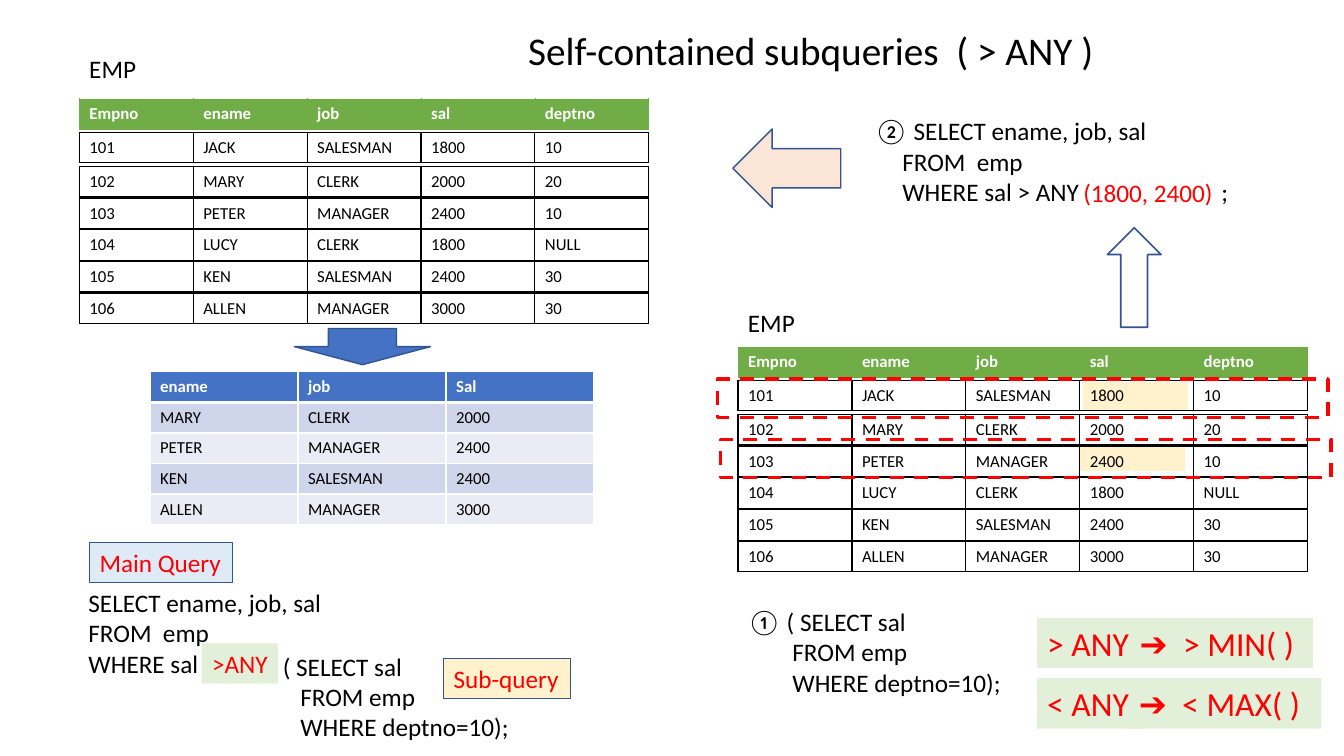
from dataclasses import dataclass

from lxml import etree
from pptx import Presentation
from pptx import util as u
from pptx.dml.color import RGBColor
from pptx.enum import dml, shapes, text
from pptx.oxml.ns import qn


@dataclass(frozen=True)
class Theme:
    font: str = "Calibri"
    title: int = 28
    rule: int = 24
    body: int = 18
    cell: int = 12
    black: str = "000000"
    white: str = "FFFFFF"
    red: str = "FF0000"
    green: str = "70AD47"
    blue: str = "4472C4"
    outline: str = "325491"
    pale_green: str = "E2F0D9"
    pale_yellow: str = "FFF2CC"
    pale_blue: str = "DEEBF7"
    peach: str = "FBE5D6"
    bands: tuple = ("CFD5EA", "E9EBF5")


THEME = Theme()
SHAPE = shapes.MSO_SHAPE

# Lengths in cm
ROW_HEIGHT = 0.77
EMP_COLUMN = 2.87
RESULT_COLUMN = 3.73

EMP_HEADER = ["Empno", "ename", "job", "sal", "deptno"]
EMP_ROWS = [
    ["101", "JACK", "SALESMAN", "1800", "10"],
    ["102", "MARY", "CLERK", "2000", "20"],
    ["103", "PETER", "MANAGER", "2400", "10"],
    ["104", "LUCY", "CLERK", "1800", "NULL"],
    ["105", "KEN", "SALESMAN", "2400", "30"],
    ["106", "ALLEN", "MANAGER", "3000", "30"],
]
RESULT_ROWS = [
    ["ename", "job", "Sal"],
    ["MARY", "CLERK", "2000"],
    ["PETER", "MANAGER", "2400"],
    ["KEN", "SALESMAN", "2400"],
    ["ALLEN", "MANAGER", "3000"],
]


class SlideBuilder:
    def __init__(self, slide, theme):
        self.slide = slide
        self.theme = theme

    def set_text(self, frame, lines, size, color, bold=False, tabs=(), align=None):
        frame.word_wrap = True
        for index, line in enumerate(lines):
            paragraph = frame.add_paragraph() if index else frame.paragraphs[0]
            paragraph.alignment = align or text.PP_ALIGN.LEFT
            run = paragraph.add_run()
            run.text = line
            run.font.color.rgb = RGBColor.from_string(color)
            font_format = {"name": self.theme.font, "size": u.Pt(size), "bold": bold}
            for attribute, value in font_format.items():
                setattr(run.font, attribute, value)
            if tabs:
                tab_list = etree.SubElement(paragraph._p.get_or_add_pPr(), qn("a:tabLst"))
                for stop in tabs:
                    etree.SubElement(tab_list, qn("a:tab"), pos=str(u.Cm(stop)), algn="l")

    def label(self, box, *lines, size=None, color=None, tabs=()):
        frame = self.slide.shapes.add_textbox(*map(u.Cm, box)).text_frame
        self.set_text(frame, lines, size or self.theme.body, color or self.theme.black, tabs=tabs)

    def block(self, kind, box, fill=None, line=None, weight=1, dash=None,
              caption=None, size=None, align=None):
        block = self.slide.shapes.add_shape(kind, *map(u.Cm, box))
        block.shadow.inherit = False
        for part, color in ((block.fill, fill), (block.line.fill, line)):
            if color:
                part.solid()
                part.fore_color.rgb = RGBColor.from_string(color)
            else:
                part.background()
        if line:
            for attribute, value in {"width": u.Pt(weight), "dash_style": dash}.items():
                setattr(block.line, attribute, value)
        if caption:
            self.set_text(block.text_frame, [caption], size or self.theme.body,
                          self.theme.red, align=align)

    def border(self, cell, color, weight, bottom=None):
        properties = cell._tc.get_or_add_tcPr()
        for index, side in enumerate(("lnL", "lnR", "lnT", "lnB")):
            width = bottom if bottom and side == "lnB" else weight
            edge = etree.Element(qn(f"a:{side}"), w=str(u.Pt(width)))
            solid = etree.SubElement(edge, qn("a:solidFill"))
            etree.SubElement(solid, qn("a:srgbClr"), val=color)
            properties.insert(index, edge)

    def table(self, left, top, rows, column, edge, weight=1, header=None, bands=()):
        """A header color makes the first row a header; bands tint the others."""
        columns = len(rows[0])
        frame = self.slide.shapes.add_table(
            len(rows), columns, u.Cm(left), u.Cm(top),
            u.Cm(column * columns), u.Cm(ROW_HEIGHT * len(rows)))
        grid = frame.table
        for attribute in ("first_row", "horz_banding"):
            setattr(grid, attribute, False)
        for grid_column in grid.columns:
            grid_column.width = u.Cm(column)
        for r, values in enumerate(rows):
            grid.rows[r].height = u.Cm(ROW_HEIGHT)
            is_header = bool(header) and r == 0
            fill = header if is_header else bands[(r - 1) % len(bands)] if bands else None
            for c, value in enumerate(values):
                cell = grid.cell(r, c)
                if fill:
                    cell.fill.solid()
                    cell.fill.fore_color.rgb = RGBColor.from_string(fill)
                else:
                    cell.fill.background()
                self.border(cell, edge, weight, 3 if is_header and bands else None)
                color = self.theme.white if is_header else self.theme.black
                self.set_text(cell.text_frame, [value], self.theme.cell, color, is_header)

    def emp_table(self, left, top):
        """Header strip, then one separate strip for each employee."""
        self.table(left, top, [EMP_HEADER], EMP_COLUMN, self.theme.green, 0.5,
                   header=self.theme.green)
        for index, employee in enumerate(EMP_ROWS):
            offset = 0.9 + 0.8 * index if index else 0.84
            self.table(left, top + offset, [employee], EMP_COLUMN, self.theme.black)


def main():
    deck = Presentation()
    deck.slide_width, deck.slide_height = u.Cm(33.87), u.Cm(19.05)
    t = THEME
    page = SlideBuilder(deck.slides.add_slide(deck.slide_layouts[6]), t)

    # Title
    page.label((13.06, 0.53, 14.96, 1.45), "Self-contained subqueries  ( > ANY )", size=t.title)

    # Full query, lower left
    page.label((1.98, 14.68, 6.45, 2.57), "SELECT ename, job, sal", "FROM  emp", "WHERE sal")
    page.block(SHAPE.RECTANGLE, (5.08, 16.21, 1.93, 1.02), t.pale_green,
               caption=">ANY", align=text.PP_ALIGN.CENTER)
    page.label((6.88, 16.28, 6.43, 2.57), "( SELECT sal", "\tFROM emp",
               "\tWHERE deptno=10);", tabs=[0.44])
    for caption, box, fill in (
            ("Main Query", (2.26, 13.67, 3.61, 1.02), t.pale_blue),
            ("Sub-query", (11.18, 16.59, 3.2, 1.02), t.pale_yellow)):
        page.block(SHAPE.RECTANGLE, box, fill, t.outline, 0.75, caption=caption)

    # Salaries found by the sub-query
    for left, top in ((27.31, 9.65), (27.23, 11.2)):
        page.block(SHAPE.RECTANGLE, (left, top, 2.62, 0.66), t.pale_yellow, t.pale_yellow)

    # Employee tables
    for left, top, label_top in ((2, 2.49, 1.22), (18.6, 8.74, 7.62)):
        page.label((left, label_top, 1.7, 1.02), "EMP")
        page.emp_table(left, top)

    # Frames around the rows of department 10
    for left, top in ((18.08, 9.55), (18.16, 11.07)):
        page.block(SHAPE.RECTANGLE, (left, top, 15.39, 0.97), line=t.red, weight=2.5,
                   dash=dml.MSO_LINE.DASH)

    # Step 1: sub-query
    page.label((18.59, 15.16, 7.01, 2.57), "① ( SELECT sal", "\tFROM emp",
               "\tWHERE deptno=10);", tabs=[1.13])
    page.block(SHAPE.UP_ARROW, (27.91, 5.74, 1.35, 2.51), line=t.outline, weight=1.25)

    # Step 2: main query with the values filled in
    page.label((21.79, 2.79, 9.6, 2.57), "② SELECT ename, job, sal", "\tFROM  emp",
               "\tWHERE sal > ANY\t;", tabs=[0.7, 8.74])
    page.label((27.05, 4.34, 3.81, 1.02), "(1800, 2400)", color=t.red)
    page.block(SHAPE.LEFT_ARROW, (18.47, 3.25, 2.72, 1.98), t.peach, t.outline)

    # Result
    page.block(SHAPE.DOWN_ARROW, (7.42, 8.28, 3.43, 0.91), t.blue, t.outline)
    page.table(3.78, 9.37, RESULT_ROWS, RESULT_COLUMN, t.white, header=t.blue, bands=t.bands)

    # Equivalent functions
    for top, operator, function, left, width in (
            (15.57, "> ANY", "➔  > MIN( )", 28.47, 4.62),
            (17.09, "< ANY", "➔  < MAX( )", 28.45, 4.85)):
        for caption, x, w in ((operator, 26.14, 2.59), (function, left, width)):
            page.block(SHAPE.RECTANGLE, (x, top, w, 1.27), t.pale_green,
                       caption=caption, size=t.rule)

    deck.save("out.pptx")


if __name__ == "__main__":
    main()
